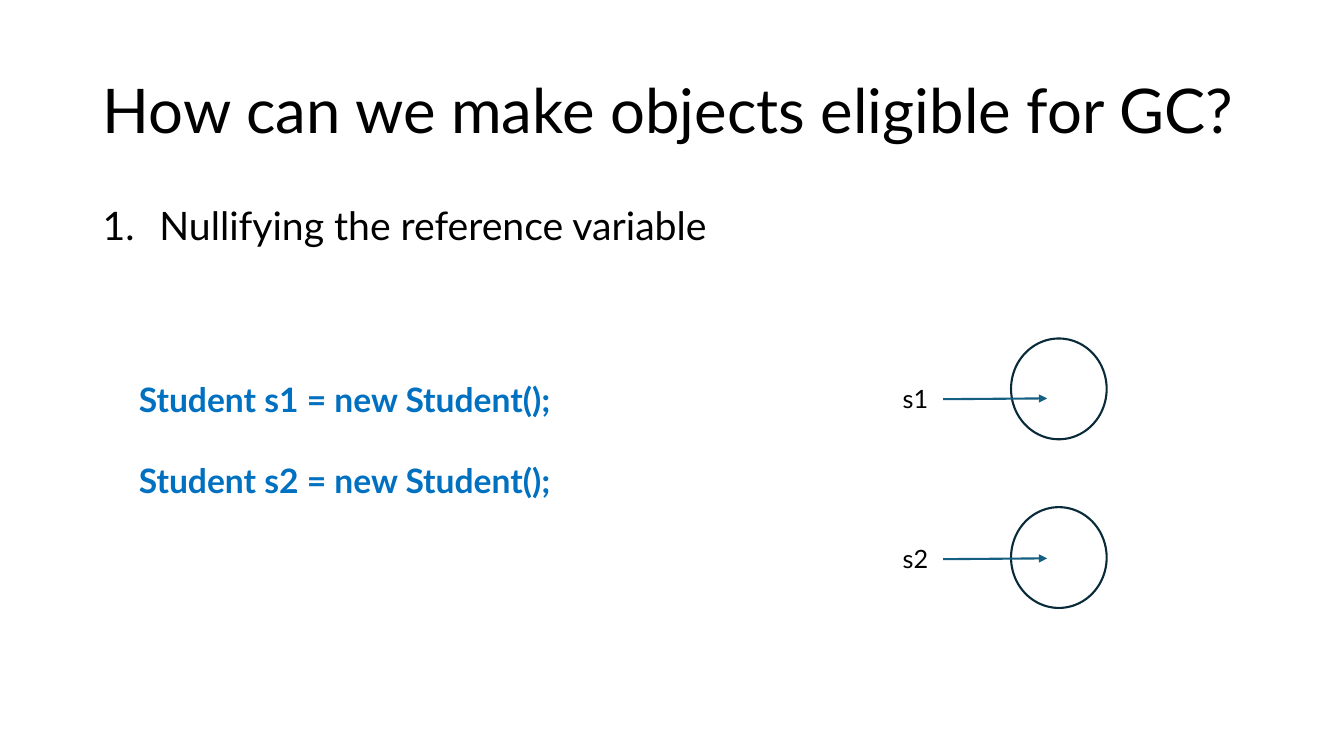
import pptx
import pptx.dml.color
import pptx.enum.shapes
import pptx.enum.text
import pptx.oxml
import pptx.oxml.ns
import pptx.util
from pptx.util import Cm

FONT = "Lato"
COLORS = {
    "text": "000000",
    "code": "0070C0",
    "object_fill": "FFFFFF",
    "object_line": "092A39",
    "arrow": "156082",
}


def rgb(name):
    return pptx.dml.color.RGBColor.from_string(COLORS[name])


def add_xml(parent, tag, **attributes):
    element = pptx.oxml.ns.qn(tag)
    child = parent.makeelement(element, attributes)
    parent.append(child)
    return child


def add_text(slide, text, left, top, width, height, size, color="text", bold=False):
    """Add a text box with one paragraph per line of text."""
    frame = slide.shapes.add_textbox(Cm(left), Cm(top), Cm(width), Cm(height)).text_frame
    frame.word_wrap = True
    frame.text = text
    for paragraph in frame.paragraphs:
        for run in paragraph.runs:
            run.font.name = FONT
            run.font.size = pptx.util.Pt(size)
            run.font.bold = bold
            run.font.color.rgb = rgb(color)
    return frame


def number_paragraph(paragraph, indent):
    properties = paragraph._p.get_or_add_pPr()
    properties.set("marL", str(Cm(indent)))
    properties.set("indent", str(-Cm(indent)))
    add_xml(properties, "a:buFont", typeface=FONT)
    add_xml(properties, "a:buAutoNum", type="arabicPeriod")


def add_object(slide, left, top):
    """Draw the circle that stands for an object in memory."""
    circle = slide.shapes.add_shape(
        pptx.enum.shapes.MSO_SHAPE.OVAL, Cm(left), Cm(top), Cm(2.41), Cm(2.54))
    circle.shadow.inherit = False
    circle.fill.solid()
    circle.fill.fore_color.rgb = rgb("object_fill")
    circle.line.color.rgb = rgb("object_line")
    circle.line.width = pptx.util.Pt(1.5)


def add_arrow(slide, start_x, start_y, end_x, end_y):
    arrow = slide.shapes.add_connector(
        pptx.enum.shapes.MSO_CONNECTOR.STRAIGHT,
        Cm(start_x), Cm(start_y), Cm(end_x), Cm(end_y))
    arrow.line.color.rgb = rgb("arrow")
    arrow.line.width = pptx.util.Pt(1.5)
    add_xml(arrow.line._get_or_add_ln(), "a:tailEnd", type="triangle")
    add_xml(arrow._element.spPr, "a:effectLst")


def main():
    deck = pptx.Presentation()
    deck.slide_width, deck.slide_height = Cm(33.87), Cm(19.05)
    slide = deck.slides.add_slide(deck.slide_layouts[6])

    title = add_text(slide, "How can we make objects eligible for GC?",
                     2.34, 1.02, 29.21, 3.68, 44)
    title.vertical_anchor = pptx.enum.text.MSO_ANCHOR.MIDDLE
    title.paragraphs[0].line_spacing = 0.9

    method = add_text(slide, "Nullifying the reference variable",
                      2.34, 5.08, 29.21, 12.09, 28).paragraphs[0]
    method.line_spacing = 0.9
    method.space_before = pptx.util.Pt(10)
    number_paragraph(method, 1.43)

    code = add_text(slide, "Student s1 = new Student();\nStudent s2 = new Student();",
                    3.25, 9.42, 11.35, 3.33, 24, "code", bold=True)
    code.paragraphs[1].space_before = pptx.util.Pt(29)

    references = [("s1", 8.53, 9.53), ("s2", 12.78, 13.56)]
    for name, object_top, label_top in references:
        add_object(slide, 25.48, object_top)
        add_text(slide, name, 22.5, label_top, 1.22, 1.02, 18)
        add_arrow(slide, 23.77, label_top + 0.53, 26.39, label_top + 0.51)

    deck.save("out.pptx")


if __name__ == "__main__":
    main()
